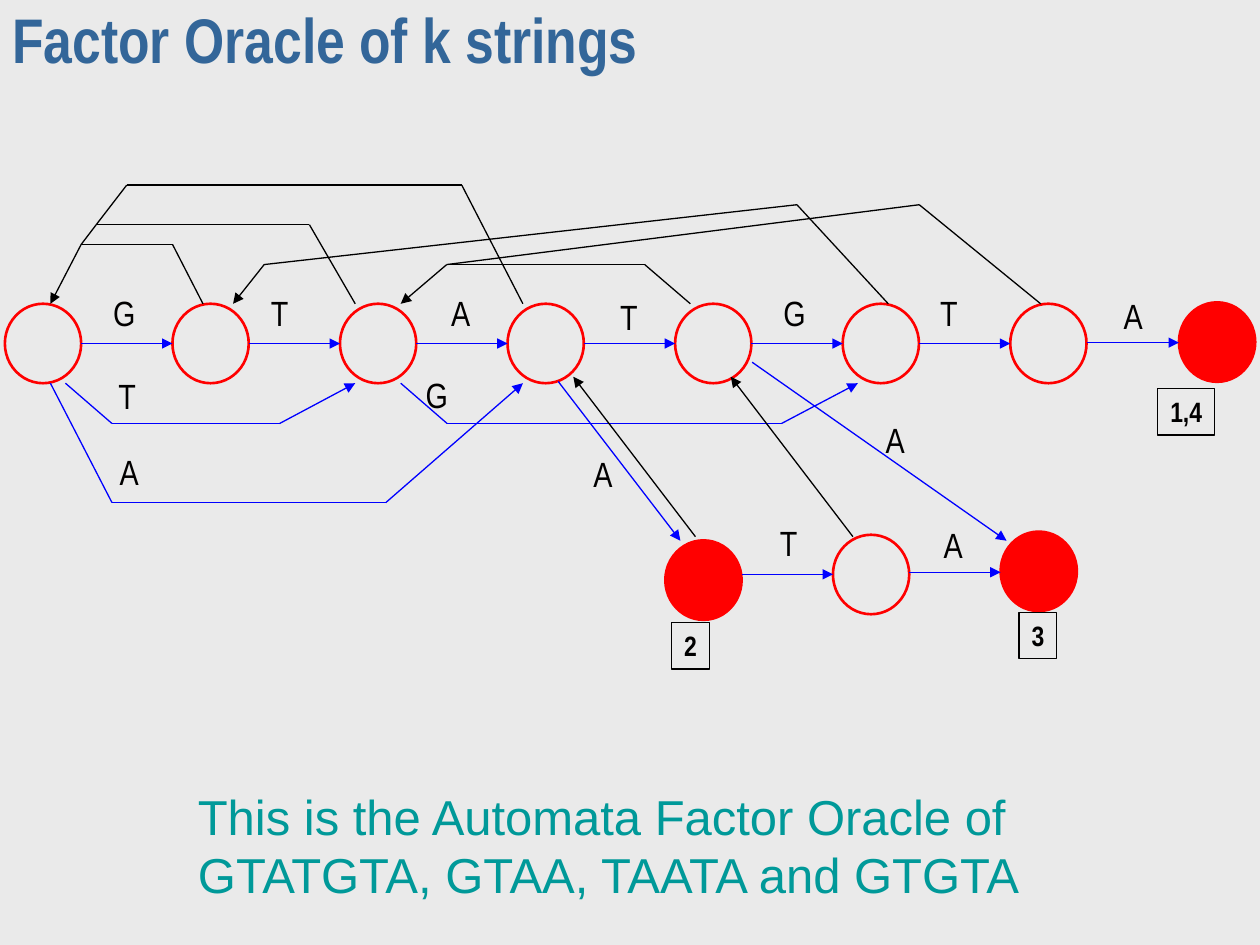
from itertools import pairwise

from lxml.etree import SubElement
from pptx import Presentation
from pptx.dml.color import RGBColor
from pptx.enum.shapes import MSO_CONNECTOR, MSO_SHAPE
from pptx.enum.text import MSO_ANCHOR, PP_ALIGN
from pptx.oxml.ns import qn
from pptx.util import Pt

BACKGROUND = RGBColor(0xEA, 0xEA, 0xEA)
TITLE_BLUE = RGBColor(0x33, 0x66, 0x99)
TEAL = RGBColor(0x00, 0x99, 0x99)
RED = RGBColor(0xFF, 0x00, 0x00)
BLUE = RGBColor(0x00, 0x00, 0xFF)
BLACK = RGBColor(0x00, 0x00, 0x00)
INK = RGBColor(0x01, 0x00, 0x00)

prs = Presentation()
prs.slide_width, prs.slide_height = Pt(720), Pt(540)
slide = prs.slides.add_slide(prs.slide_layouts[6])
slide.background.fill.solid()
slide.background.fill.fore_color.rgb = BACKGROUND
shapes = slide.shapes


def write(shape, text, font, size, color, bold=False, align=PP_ALIGN.CENTER,
          anchor=MSO_ANCHOR.MIDDLE, wrap=False):
    frame = shape.text_frame
    frame.text = text
    frame.word_wrap = wrap
    frame.vertical_anchor = anchor
    for paragraph in frame.paragraphs:
        paragraph.alignment = align
        paragraph.font.name = font
        paragraph.font.size = Pt(size)
        paragraph.font.bold = bold
        paragraph.font.color.rgb = color
    return frame


def draw_path(points, color, arrow=True):
    """Join the points with straight lines; the last one may carry an arrowhead."""
    for start, end in pairwise(points):
        line = shapes.add_connector(MSO_CONNECTOR.STRAIGHT, *map(Pt, start + end))
        line.line.color.rgb = color
        line.line.width = Pt(0.75)
        properties = line._element.spPr
        if arrow and end == points[-1]:
            SubElement(properties.find(qn("a:ln")), qn("a:tailEnd"), type="triangle")
        SubElement(properties, qn("a:effectLst"))


# Title and caption
title = write(shapes.add_textbox(0, 0, Pt(720), Pt(54)), "Factor Oracle of k strings",
              "Arial Narrow", 36, TITLE_BLUE, bold=True, align=PP_ALIGN.LEFT, wrap=True)
title.paragraphs[0].line_spacing = 0.7
write(shapes.add_textbox(Pt(18), Pt(445.7), Pt(659.5), Pt(75)),
      "This is the Automata Factor Oracle of \nGTATGTA, GTAA, TAATA and GTGTA",
      "Arial", 28, TEAL, anchor=MSO_ANCHOR.TOP, wrap=True)

# States: the main row, then the branches; final states are filled
STATE_W, STATE_H = 43.6, 45.4
PITCH, ROW_LEFT, ROW_TOP = 95.75, 2.8, 173.6
ROW_BOTTOM, ROW_MIDDLE = ROW_TOP + STATE_H, ROW_TOP + STATE_H / 2
row = [ROW_LEFT + PITCH * i for i in range(7)]
states = [(left, ROW_TOP, False) for left in row]
states += [(673.7, 172.8, True), (380.2, 308.8, True),
           (476, 305.6, False), (571.8, 303.8, True)]
for left, top, final in states:
    state = shapes.add_shape(MSO_SHAPE.OVAL, Pt(left), Pt(top), Pt(STATE_W), Pt(STATE_H))
    state.shadow.inherit = False
    state.line.color.rgb = RED
    state.line.width = Pt(1.5)
    if final:
        state.fill.solid()
        state.fill.fore_color.rgb = RED
    else:
        state.fill.background()

# Transitions between neighbouring states
for left, following in pairwise(row):
    draw_path([(left + STATE_W, ROW_MIDDLE), (following, ROW_MIDDLE)], BLUE)
for start, end, y in [(621.2, 673.7, 195.8), (424, 476, 328.2), (519.6, 571.8, 327)]:
    draw_path([(start, y), (end, y)], BLUE)

# External transitions
for points in [
    [(37.4, ROW_BOTTOM), (64, 242), (159.8, 242), (203, ROW_BOTTOM)],
    [(28.8, ROW_BOTTOM), (64, 287.2), (220.5, 287.2), (298.8, ROW_BOTTOM)],
    [(229, ROW_BOTTOM), (255.5, 242), (446.6, 242), (490.2, ROW_BOTTOM)],
    [(319, 218), (388.8, 309)],
    [(429.8, 207), (575.2, 309)],
]:
    draw_path(points, BLUE)

# Supply links; those without an arrowhead merge into another link
for points, arrow in [
    ([(116, ROW_TOP), (98.6, 139.7), (46.4, 139.7), (28.8, ROW_TOP)], True),
    ([(203, ROW_TOP), (176.8, 128.4), (55, 128.4), (46.4, 139.7)], False),
    ([(298.8, ROW_TOP), (263.9, 105.8), (72.4, 105.8), (55, 128.4)], False),
    ([(394.5, ROW_TOP), (368.4, 151.2), (255.3, 151.2), (229, ROW_TOP)], True),
    ([(507.6, ROW_TOP), (455.4, 117), (151, 151.2), (133.2, ROW_TOP)], True),
    ([(594.7, ROW_TOP), (525.3, 117), (255.3, 151.2)], False),
    ([(397.4, 306.7), (327.6, 215.3)], True),
    ([(487.4, 306.7), (417.6, 215.3)], True),
]:
    draw_path(points, BLACK, arrow)

# Transition letters: centre and top of each box
for letter, center, top in [
    ("G", 70.6, 162.7), ("T", 159.8, 162.7), ("A", 263.2, 162.7), ("T", 359.3, 165),
    ("G", 453.6, 162.7), ("T", 542.2, 162.7), ("A", 647.6, 164.5),
    ("T", 72.7, 210.2), ("A", 73.8, 253.4), ("G", 249.1, 209.5),
    ("A", 344.5, 255), ("A", 511.6, 235.4), ("T", 450.7, 294.5), ("A", 544.7, 295.4),
]:
    box = shapes.add_textbox(Pt(center - 13), Pt(top), Pt(26), Pt(31.5))
    write(box, letter, "Arial Narrow", 20, INK)

# Numbers of the strings recognised by the final states
for strings, left, top, width in [("1,4", 661.6, 222, 32.4), ("3", 582.3, 349.9, 21.6),
                                  ("2", 383.8, 355.7, 21.6)]:
    tag = shapes.add_shape(MSO_SHAPE.RECTANGLE, Pt(left), Pt(top), Pt(width), Pt(26.6))
    tag.shadow.inherit = False
    tag.fill.background()
    tag.line.color.rgb = INK
    tag.line.width = Pt(0.75)
    write(tag, strings, "Arial Narrow", 16, INK, bold=True, anchor=MSO_ANCHOR.TOP)

prs.save("out.pptx")
